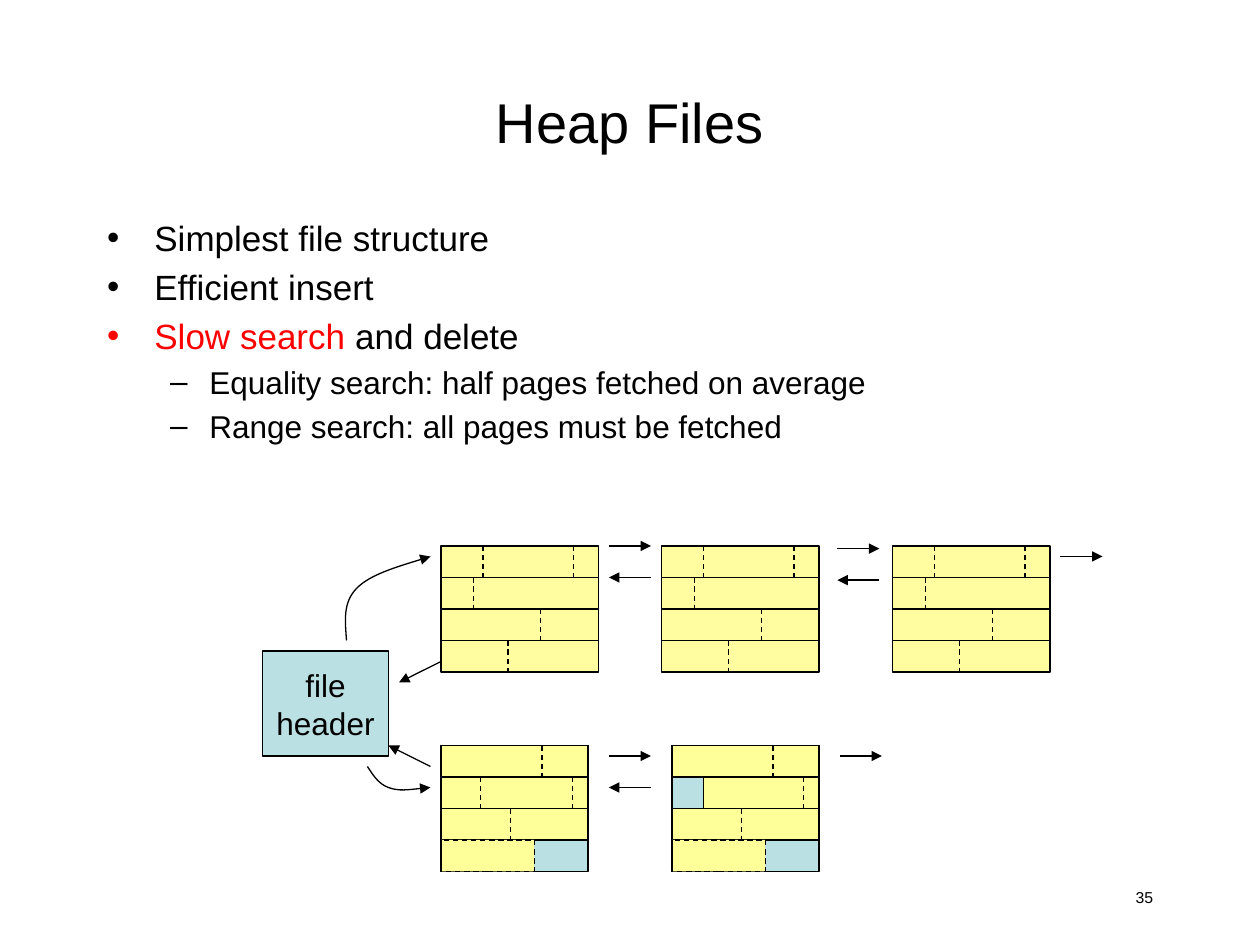
from lxml.etree import SubElement
from pptx import Presentation
from pptx.dml.color import RGBColor
from pptx.enum.dml import MSO_LINE
from pptx.enum.shapes import MSO_CONNECTOR, MSO_SHAPE
from pptx.enum.text import MSO_ANCHOR, MSO_AUTO_SIZE, PP_ALIGN
from pptx.oxml.ns import qn
from pptx.util import Pt

PX = 9525
ROW = 24
COLORS = {"ink": "000000", "red": "FF0000", "free": "BBE0E3",
          "full": "FFFDA0", "used": "FFFF99"}


def px(*values):
    return [round(v * PX) for v in values]


def rgb(name):
    return RGBColor.from_string(COLORS[name])


def add_text(p, text, size=18, color="ink", align=None):
    r = p.add_run()
    r.text = text
    r.font.name = "Arial"
    r.font.size = Pt(size)
    r.font.color.rgb = rgb(color)
    if align is not None:
        p.alignment = align


def style_line(sp, dash=False, arrow=False):
    sp.line.width = Pt(0.75)
    sp.line.color.rgb = rgb("ink")
    if dash:
        sp.line.dash_style = MSO_LINE.DASH
    if arrow:
        SubElement(sp.line._get_or_add_ln(), qn("a:tailEnd"), type="triangle")


def add_rect(s, x, y, w, h, fill, dash=False):
    sp = s.shapes.add_shape(MSO_SHAPE.RECTANGLE, *px(x, y, w, h))
    sp.shadow.inherit = False
    sp.fill.solid()
    sp.fill.fore_color.rgb = rgb(fill)
    style_line(sp, dash)
    return sp


def add_line(s, x1, y1, x2, y2, dash=False, arrow=False):
    cn = s.shapes.add_connector(MSO_CONNECTOR.STRAIGHT, *px(x1, y1, x2, y2))
    style_line(cn, dash, arrow)
    SubElement(cn._element.spPr, qn("a:effectLst"))
    return cn


def add_curve(s, points):
    """Draw an arrow along cubic Béziers: a start, then three points per curve."""
    fb = s.shapes.build_freeform(*points[0], scale=PX)
    fb.add_line_segments(points[1:], close=False)
    sp = fb.convert_to_shape()
    sp.shadow.inherit = False
    sp.fill.background()
    style_line(sp, arrow=True)
    segments = list(sp._element.iter(qn("a:lnTo")))
    outline = segments[0].getparent()
    for i in range(0, len(segments), 3):
        curve = SubElement(outline, qn("a:cubicBezTo"))
        for segment in segments[i:i + 3]:
            curve.append(segment[0])
            outline.remove(segment)


def add_dividers(s, x, y, rows):
    """Draw dashed field borders at the offsets listed for each record row."""
    for i, offsets in enumerate(rows):
        for dx in offsets:
            add_line(s, x + dx, y + i * ROW, x + dx, y + (i + 1) * ROW, dash=True)


def full_page(s, x, y, w=120):
    page = add_rect(s, x, y, w, 4 * ROW, "full")
    for i in (1, 2, 3):
        cn = add_line(s, x, y + i * ROW, x + w, y + i * ROW)
        if i == 2:
            cn.begin_connect(page, 1)
            cn.end_connect(page, 3)
    add_dividers(s, x, y, [(32, 101), (25,), (76,), (51,)])


def page_with_space(s, x, y, gap, second_row, w=112):
    """Draw a page with free space: gap px before row two, and after row four."""
    add_rect(s, x, y, w, 4 * ROW, "free")
    for i, start in enumerate((0, gap, 0)):
        add_rect(s, x + start, y + i * ROW, w - start, ROW, "used")
    add_rect(s, x, y + 3 * ROW, 71, ROW, "used", dash=True)
    add_line(s, x, y + 3 * ROW, x, y + 4 * ROW)
    add_dividers(s, x, y, [(77,), second_row, (53,)])


def file_header(s, x, y, w, h):
    tf = add_rect(s, x, y, w, h, "free").text_frame
    tf.word_wrap = False
    tf.vertical_anchor = MSO_ANCHOR.MIDDLE
    add_text(tf.paragraphs[0], "file", align=PP_ALIGN.CENTER)
    add_text(tf.add_paragraph(), "header", align=PP_ALIGN.CENTER)


def page_arrows(s, x, y, back=True, w=32):
    add_line(s, x, y, x + w, y, arrow=True)
    if back:
        add_line(s, x + w, y + ROW, x, y + ROW, arrow=True)


def heap_diagram(s, x, y):
    """Draw the header and its two page lists, with the box's top left at x, y."""
    for dx in (136, 304, 480):
        full_page(s, x + dx, y)
    page_with_space(s, x + 136, y + 152, 0, (30, 100))
    page_with_space(s, x + 312, y + 152, 24, (100,))
    file_header(s, x, y + 80, 96, 80)
    for dx, dy, back in ((264, 0, True), (438, 2, True), (608, 8, False),
                         (264, 160, True), (440, 160, False)):
        page_arrows(s, x + dx, y + dy, back)
    for points in (
        [(64, 72), (63, 57), (61, 43), (72, 32), (82, 22), (105, 15), (128, 8)],
        [(136, 88), (136, 88), (120, 96), (104, 104)],
        [(80, 168), (84, 174), (88, 181), (96, 184), (104, 187), (116, 185), (128, 184)],
    ):
        add_curve(s, [(x + dx, y + dy) for dx, dy in points])
    add_line(s, x + 128, y + 168, x + 96, y + 152, arrow=True)


def place(sp, *box):
    sp.left, sp.top, sp.width, sp.height = px(*box)
    sp.text_frame.auto_size = MSO_AUTO_SIZE.NONE
    return sp.text_frame


def title(s, *box):
    tf = place(s.shapes.title, *box)
    tf.vertical_anchor = MSO_ANCHOR.MIDDLE
    add_text(tf.paragraphs[0], "Heap Files", size=32, align=PP_ALIGN.CENTER)


def bullets(s, *box):
    tf = place(s.placeholders[1], *box)
    items = [
        (0, [("Simplest file structure", "ink")]),
        (0, [("Efficient insert", "ink")]),
        (0, [("Slow search ", "red"), ("and delete", "ink")]),
        (1, [("Equality search: half pages fetched on average", "ink")]),
        (1, [("Range search: all pages must be fetched", "ink")]),
    ]
    for i, (level, runs) in enumerate(items):
        p = tf.add_paragraph() if i else tf.paragraphs[0]
        p.level = level
        size = (20, 18)[level]
        margin, indent = px(*((36, -36), (78, -30))[level])
        pPr = p._p.get_or_add_pPr()
        pPr.set("marL", str(margin))
        pPr.set("indent", str(indent))
        p.space_before = Pt(size * 0.2 if i else 0)
        for text, color in runs:
            add_text(p, text, size=size, color=color)


def page_number(s, *box):
    tf = s.shapes.add_textbox(*px(*box)).text_frame
    tf.word_wrap = True
    add_text(tf.paragraphs[0], "35", size=9, align=PP_ALIGN.RIGHT)


def main():
    prs = Presentation()
    prs.slide_width, prs.slide_height = px(960, 720)
    s = prs.slides.add_slide(prs.slide_layouts[1])
    page_number(s, 688, 672, 200, 32)
    title(s, 72, 32, 816, 120)
    bullets(s, 72, 160, 816, 496)
    heap_diagram(s, 200, 416)
    prs.save("out.pptx")


if __name__ == "__main__":
    main()
